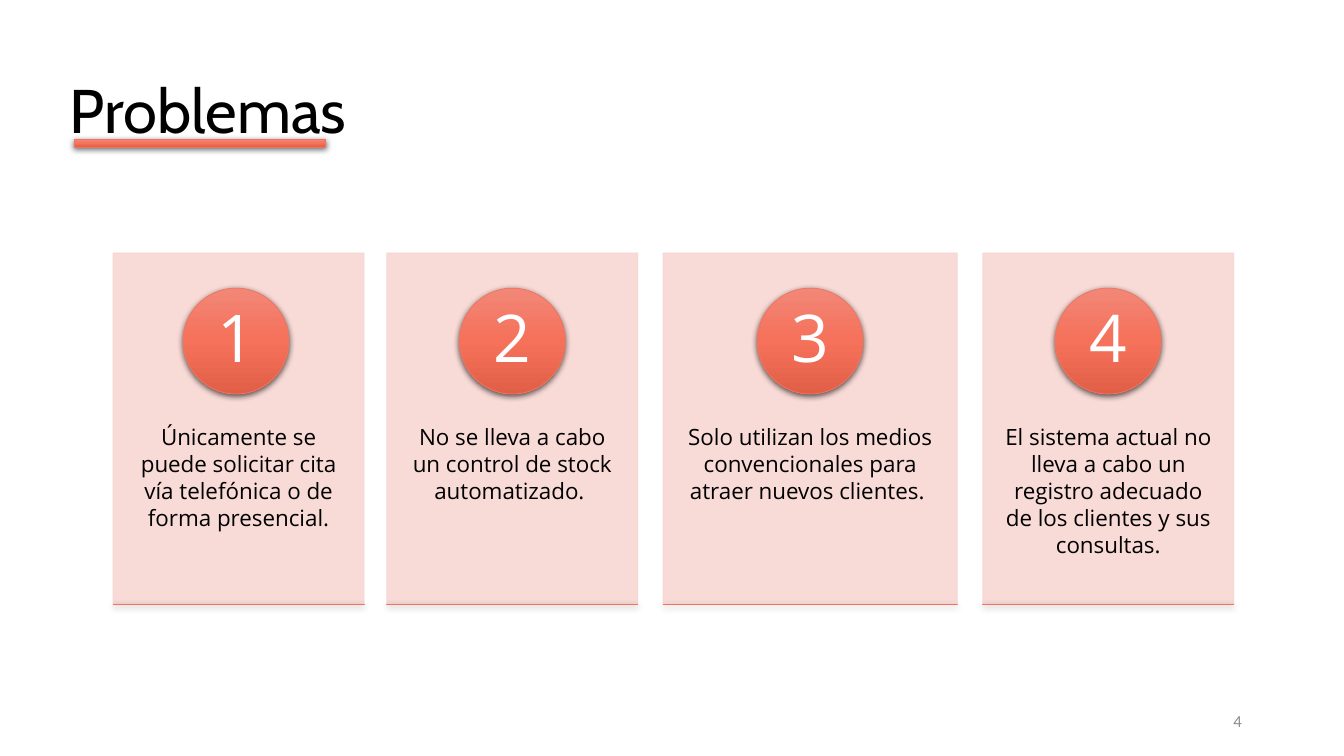
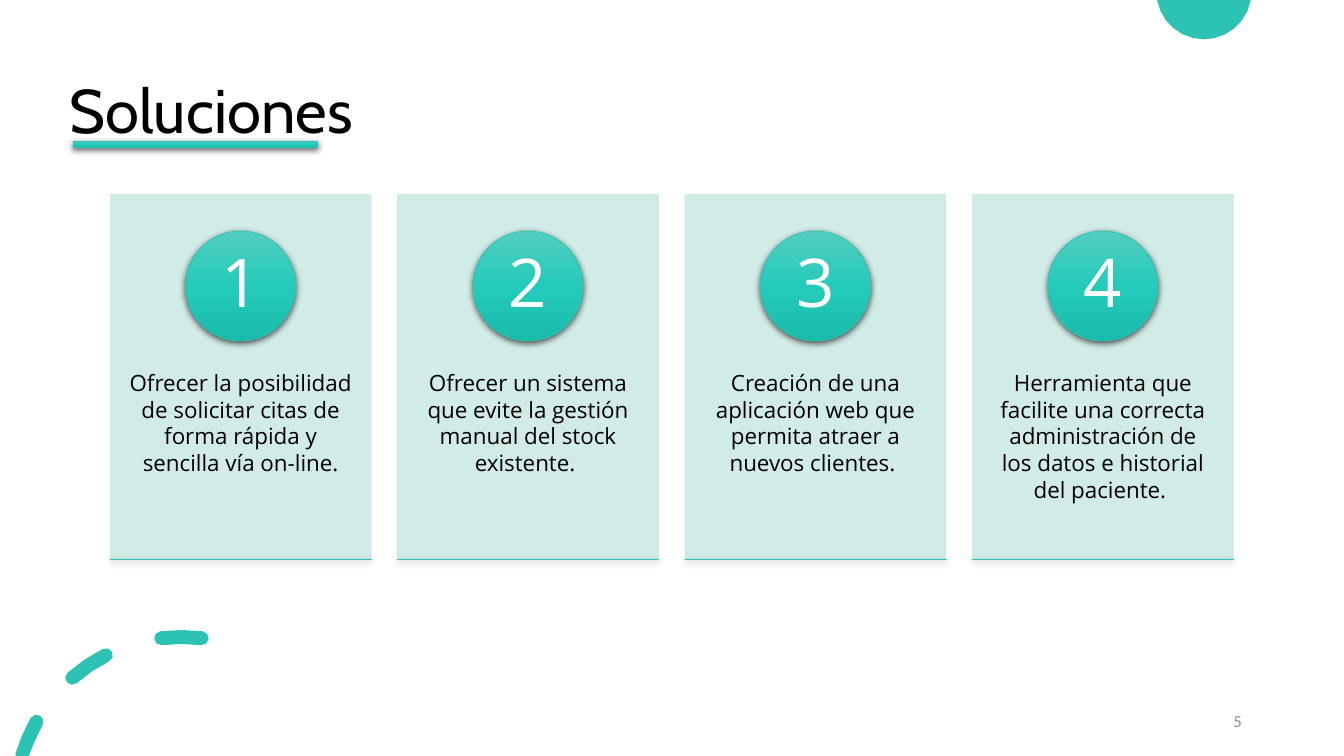
import math

from lxml import etree
from pptx import Presentation
from pptx.dml.color import RGBColor
from pptx.enum.shapes import MSO_SHAPE
from pptx.enum.text import MSO_ANCHOR, PP_ALIGN
from pptx.oxml import parse_xml
from pptx.oxml.ns import nsdecls, qn
from pptx.util import Pt

# Colours
BLACK = RGBColor(0x00, 0x00, 0x00)
WHITE = RGBColor(0xFF, 0xFF, 0xFF)
GREY = RGBColor(0x8C, 0x8C, 0x8C)
TEAL = RGBColor(0x2C, 0xC3, 0xB4)
CORAL = RGBColor(0xEE, 0x76, 0x61)
PALE_TEAL = RGBColor(0xCD, 0xE9, 0xE5)
PALE_CORAL = RGBColor(0xF8, 0xD6, 0xD2)
TEAL_STOPS = [RGBColor(0x53, 0xCD, 0xBF), RGBColor(0x24, 0xCB, 0xBA), RGBColor(0x1A, 0xBB, 0xAB)]
CORAL_STOPS = [RGBColor(0xF2, 0x87, 0x77), RGBColor(0xF5, 0x71, 0x5A), RGBColor(0xE2, 0x5F, 0x47)]

# Content; each card is (text, left, width, badge left)
SLIDES = [
    dict(
        title="Problemas", page="4",
        accent=CORAL, stops=CORAL_STOPS, pale=PALE_CORAL,
        underline=(53.3, 99.7, 179.3, 5.4),
        blanks=[(0.7, 439.9, 194.4, 100.1), (741.6, 0, 200.2, 113)],
        top=180.7, height=251.3, badge=75.6, text_drop=95.8, number_size=47,
        cards=[
            ("Únicamente se puede solicitar cita vía telefónica o de forma presencial.",
             80.8, 179.3, 130.8),
            ("No se lleva a cabo un control de stock automatizado.\u00a0",
             276.3, 179.3, 328.2),
            ("Solo utilizan los medios convencionales para atraer nuevos clientes.\u00a0",
             473.6, 210.2, 540.9),
            ("El sistema actual no lleva a cabo un registro adecuado de los clientes y sus consultas.",
             702, 179.3, 753.7),
        ],
    ),
    dict(
        title="Soluciones", page="5",
        accent=TEAL, stops=TEAL_STOPS, pale=PALE_TEAL,
        underline=(52.6, 100.8, 174.2, 4.6),
        blanks=[],
        top=138.9, height=261, badge=78.5, text_drop=98.6, number_size=48,
        cards=[
            (text, 78.7 + 205.3 * i, 186.4, 132.6 + 205.3 * i)
            for i, text in enumerate([
                "Ofrecer la posibilidad de solicitar citas de forma rápida y sencilla vía on-line.",
                "Ofrecer un sistema que evite la gestión manual del stock existente.\u00a0",
                "Creación de una aplicación web que permita atraer a nuevos clientes.\u00a0",
                "Herramienta que facilite una correcta administración de los datos e historial del paciente.\u00a0",
            ])
        ],
    ),
]

# Shared geometry, in points
SLIDE_W, SLIDE_H = 960, 540
TITLE_BOX = (42.5, 28.8, 828, 104.4)
PAGE_BOX = (678.2, 500.4, 216, 28.8)
DISC_CENTRE, DISC_RADIUS, DISC_SPAN = (860, -5.9), 34, (190, 350)
RING_CENTRE, RING_RADIUS, DASH_HALF = (129.6, 573.8), 118.8, 5
DASHES = [(83, 97), (117, 131), (150.6, 163.4)]  # degrees, from the right


def place(shape, box):
    shape.left, shape.top, shape.width, shape.height = [Pt(v) for v in box]


def write(shape, text, font, size, color, align, anchor, insets=(7.2, 3.6), spacing=1.0):
    frame = shape.text_frame
    frame.word_wrap = True
    frame.vertical_anchor = anchor
    frame.margin_left = frame.margin_right = Pt(insets[0])
    frame.margin_top = frame.margin_bottom = Pt(insets[1])
    paragraph = frame.paragraphs[0]
    paragraph.alignment = align
    paragraph.line_spacing = spacing
    run = paragraph.add_run()
    run.text = text
    run.font.name, run.font.size, run.font.color.rgb = font, Pt(size), color


def add_text(slide, box, *style, **options):
    write(slide.shapes.add_textbox(*[Pt(v) for v in box]), *style, **options)


def add_flat(slide, kind, box, color, line_width=0.5):
    shape = slide.shapes.add_shape(kind, *[Pt(v) for v in box])
    shape.shadow.inherit = False
    shape.fill.solid()
    shape.fill.fore_color.rgb = color
    shape.line.color.rgb = color
    shape.line.width = Pt(line_width)
    return shape


def add_glossy(slide, kind, box, spec):
    """Shape with a vertical three-stop gradient and a soft shadow below."""
    properties = add_flat(slide, kind, box, spec["accent"]).element.spPr
    stops = "".join(
        f'<a:gs pos="{i * 50000}"><a:srgbClr val="{color}"/></a:gs>'
        for i, color in enumerate(spec["stops"]))
    properties.replace(properties.find(qn("a:solidFill")), parse_xml(
        f'<a:gradFill {nsdecls("a")} rotWithShape="1"><a:gsLst>{stops}</a:gsLst>'
        '<a:lin ang="5400000" scaled="0"/></a:gradFill>'))
    properties.find(qn("a:effectLst")).append(parse_xml(
        f'<a:outerShdw {nsdecls("a")} blurRad="{Pt(4.5)}" dist="{Pt(1.5)}" dir="5400000" '
        'rotWithShape="0"><a:srgbClr val="000000"><a:alpha val="63000"/></a:srgbClr></a:outerShdw>'))


def arc(centre, radius, start, end, steps):
    angles = [math.radians(start + (end - start) * i / steps) for i in range(steps + 1)]
    return [(centre[0] + radius * math.cos(a),
             min(max(centre[1] - radius * math.sin(a), 0), SLIDE_H)) for a in angles]


def dash(start, end):
    """Piece of the ring with rounded ends."""
    first_tip, last_tip = arc(RING_CENTRE, RING_RADIUS, start, end, 1)
    return (arc(RING_CENTRE, RING_RADIUS + DASH_HALF, start, end, 2)
            + arc(last_tip, DASH_HALF, end, end + 180, 4)[1:-1]
            + arc(RING_CENTRE, RING_RADIUS - DASH_HALF, end, start, 2)
            + arc(first_tip, DASH_HALF, start + 180, start + 360, 4)[1:-1])


def add_outline(slide, contours):
    contours = [[(Pt(x), Pt(y)) for x, y in points] for points in contours]
    builder = slide.shapes.build_freeform(*contours[0][0])
    for points in contours:
        if points is not contours[0]:
            builder.move_to(*points[0])
        builder.add_line_segments(points[1:], close=True)
    shape = builder.convert_to_shape()
    shape.shadow.inherit = False
    shape.fill.solid()
    shape.fill.fore_color.rgb = TEAL
    shape.line.fill.background()
    return shape


def decorate_layout(layout, slide):
    """Draw the teal corners once and hand them to the shared layout."""
    corners = [[arc(DISC_CENTRE, DISC_RADIUS, *DISC_SPAN, 12)],
               [dash(*span) for span in DASHES]]
    for contours in corners:
        layout.element.cSld.spTree.append(add_outline(slide, contours).element)


def add_card(slide, spec, number, text, left, width, badge_left):
    top, height, badge = spec["top"], spec["height"], spec["badge"]
    panel = add_flat(slide, MSO_SHAPE.RECTANGLE, (left, top, width, height), spec["pale"])
    for color in panel.element.spPr.iter(qn("a:srgbClr")):
        etree.SubElement(color, qn("a:alpha")).set("val", "90000")

    add_text(slide, (left, top + spec["text_drop"], width, 0.6 * height), text, "Open Sans", 16,
             BLACK, PP_ALIGN.CENTER, MSO_ANCHOR.TOP, insets=(13.8, 26))

    badge_top, inset = top + 0.1 * height, 0.146 * badge
    add_glossy(slide, MSO_SHAPE.OVAL, (badge_left, badge_top, badge, badge), spec)
    add_text(slide, (badge_left + inset, badge_top + inset, badge - 2 * inset, badge - 2 * inset),
             str(number), "Open Sans", spec["number_size"], WHITE,
             PP_ALIGN.CENTER, MSO_ANCHOR.MIDDLE, insets=(6, 1), spacing=0.9)

    add_glossy(slide, MSO_SHAPE.RECTANGLE, (left, top + height - 0.2, width, 0.01), spec)


def build_slide(slide, spec):
    # Title
    title = slide.shapes.title
    place(title, TITLE_BOX)
    write(title, spec["title"], "Cabin", 44, BLACK, PP_ALIGN.LEFT, MSO_ANCHOR.MIDDLE, spacing=0.9)

    # Cards
    for number, card in enumerate(spec["cards"], 1):
        add_card(slide, spec, number, *card)

    # Page number, plain white corners, title underline
    add_text(slide, PAGE_BOX, spec["page"], "Calibri", 12, GREY, PP_ALIGN.RIGHT, MSO_ANCHOR.MIDDLE)
    for box in spec["blanks"]:
        add_flat(slide, MSO_SHAPE.RECTANGLE, box, WHITE, 1)
    add_glossy(slide, MSO_SHAPE.RECTANGLE, spec["underline"], spec)


deck = Presentation()
deck.slide_width, deck.slide_height = Pt(SLIDE_W), Pt(SLIDE_H)
layout = deck.slide_layouts[5]
slides = [deck.slides.add_slide(layout) for _ in SLIDES]
decorate_layout(layout, slides[0])
for slide, spec in zip(slides, SLIDES):
    build_slide(slide, spec)
deck.save("out.pptx")
